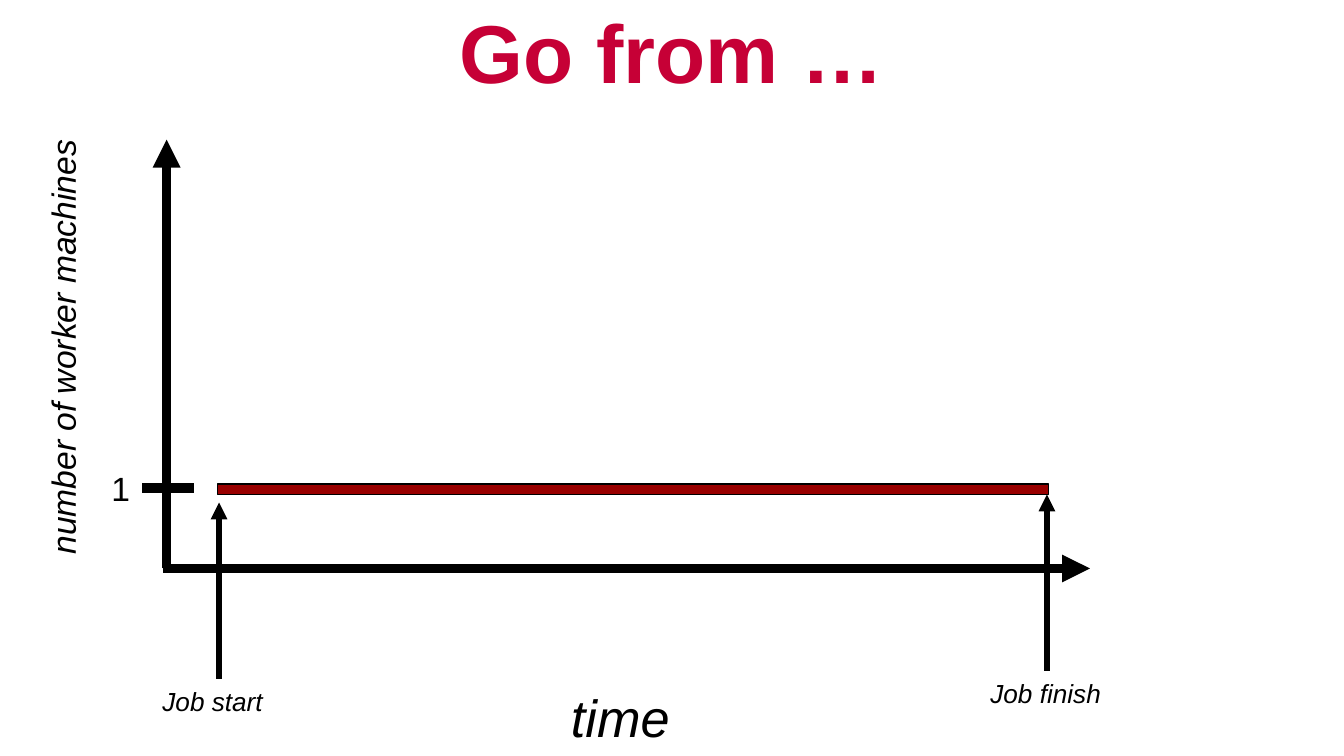
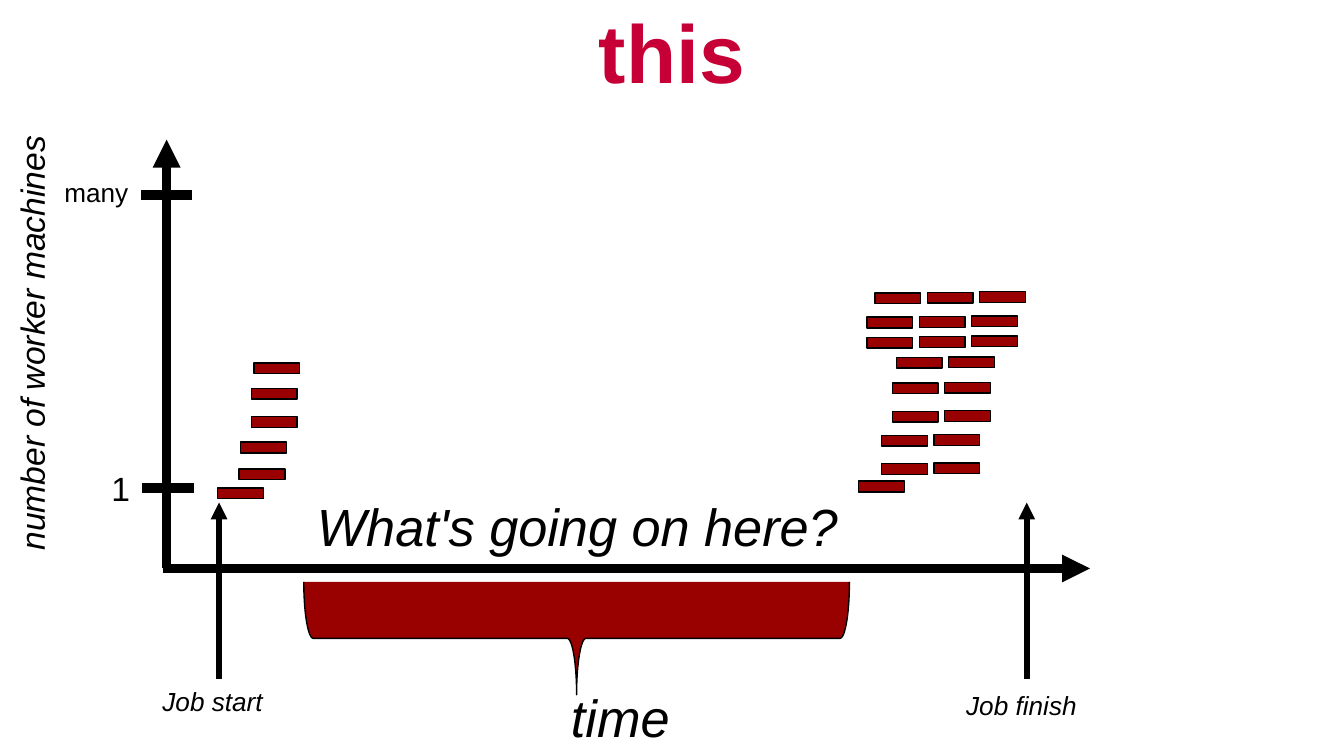
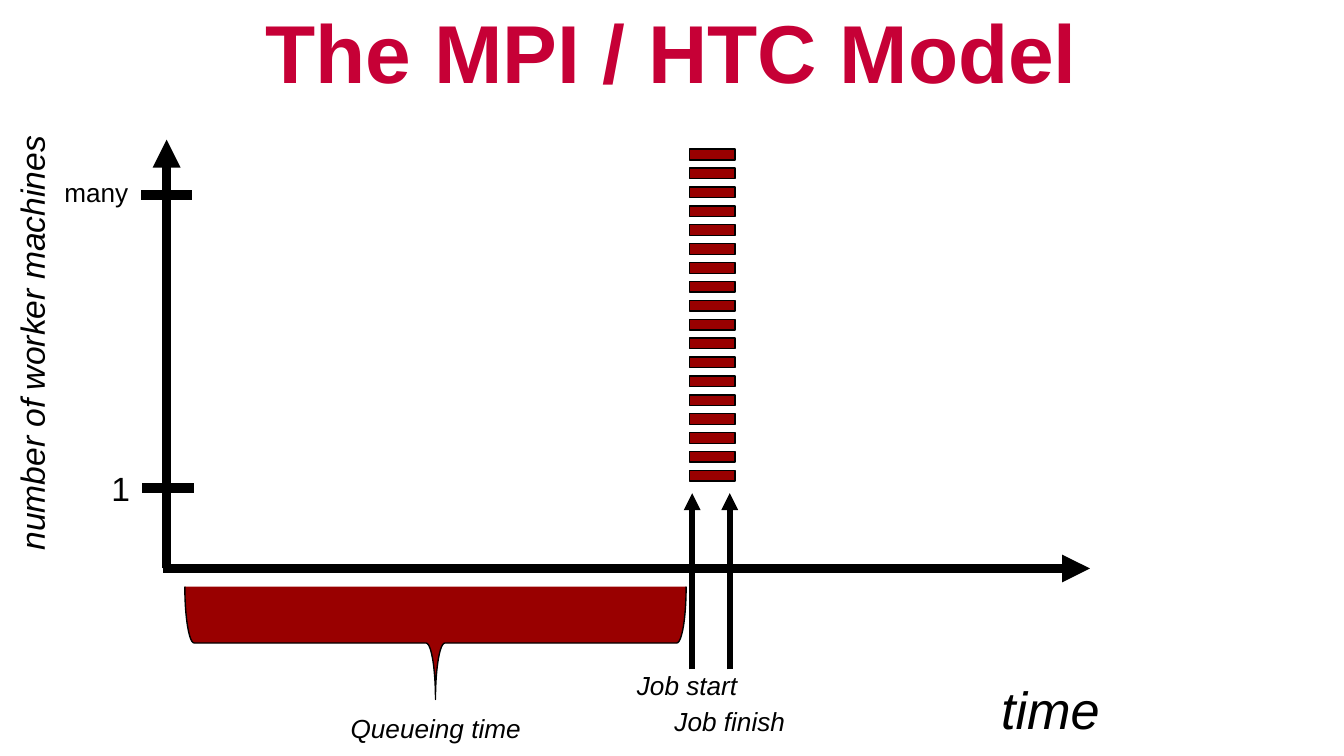
import pptx
import pptx.dml.color
import pptx.enum.shapes
import pptx.enum.text
import pptx.oxml.ns
import pptx.util
from lxml import etree

Inches = pptx.util.Inches
Pt = pptx.util.Pt
MSO_SHAPE = pptx.enum.shapes.MSO_SHAPE
CRIMSON = "C60036"
RED = "990000"
BLACK = "000000"
FONT = "Arial"
BAR_W, BAR_H, BAR_STEP = 0.34, 0.08, 0.39
ARROW_LENGTH = 1.31


def color(hex_value):
    return pptx.dml.color.RGBColor.from_string(hex_value)


def style_font(font, size, hex_value, bold=False, italic=False):
    font.name = FONT
    font.size = Pt(size)
    font.color.rgb = color(hex_value)
    font.bold = bold
    font.italic = italic


start_bars = [(1.62, 3.63), (1.78, 3.49), (1.79, 3.29), (1.87, 3.1), (1.87, 2.89), (1.89, 2.7)]
finish_rows = [
    (6.39, 3.58, 1), (6.56, 3.45, 2), (6.56, 3.24, 2),
    (6.64, 3.06, 2), (6.64, 2.85, 2), (6.67, 2.66, 2),
    (6.45, 2.51, 3), (6.45, 2.36, 3), (6.51, 2.18, 3),
]
scattered_bars = [(left, top, BAR_W) for left, top in start_bars]
for left, top, count in finish_rows:
    scattered_bars += [(left + i * BAR_STEP, top - i * 0.01 / 2, BAR_W) for i in range(count)]
stacked_bars = [(5.13, 3.5 - i * 2.39 / 17, BAR_W) for i in range(18)]

slides = [
    {
        "title": "Go from …",
        "axis_label": (-1.24, 2.32),
        "many": False,
        "bars": [(1.62, 3.6, 6.18)],
        "job_arrows": [(1.63, 5.05), (7.79, 4.99)],
        "braces": [],
        "labels": [
            ("time", 4.15, 5.05, 1.02, 28),
            ("Job start", 1.11, 5.05, 1.02, 14),
            ("Job finish", 7.27, 4.99, 1.02, 14),
        ],
    },
    {
        "title": "this",
        "axis_label": (-1.47, 2.29),
        "many": True,
        "bars": scattered_bars,
        "job_arrows": [(1.63, 5.05), (7.64, 5.05)],
        "braces": [(3.87, 2.72, 4.06)],
        "labels": [
            ("time", 4.15, 5.05, 1.02, 28),
            ("Job start", 1.11, 5.05, 1.02, 14),
            ("Job finish", 7.09, 5.08, 1.02, 14),
            ("What's going on here?", 2.26, 3.63, 4.19, 28),
        ],
    },
    {
        "title": "The MPI / HTC Model",
        "axis_label": (-1.47, 2.29),
        "many": True,
        "bars": stacked_bars,
        "job_arrows": [(5.15, 4.98), (5.43, 4.98)],
        "braces": [(2.82, 2.92, 3.73)],
        "labels": [
            ("time", 7.35, 4.99, 1.02, 28),
            ("Job start", 4.64, 4.93, 1.02, 14),
            ("Job finish", 4.92, 5.2, 1.02, 14),
            ("Queueing time", 2.51, 5.25, 1.72, 14),
        ],
    },
]

prs = pptx.Presentation()
prs.slide_width = Inches(10)
prs.slide_height = prs.slide_width * 9 // 16

for content in slides:
    s = prs.slides.add_slide(prs.slide_layouts[5])

    title = s.shapes.title
    title.left, title.top = Inches(0), Inches(0)
    title.width, title.height = Inches(10), Inches(0.75)
    tf = title.text_frame
    tf.text = content["title"]
    tf.vertical_anchor = pptx.enum.text.MSO_ANCHOR.MIDDLE
    p = tf.paragraphs[0]
    p.alignment = pptx.enum.text.PP_ALIGN.CENTER
    style_font(p.runs[0].font, 44, CRIMSON, bold=True)

    lines = [
        (1.21, 4.23, 8.11, 4.23, 5, True),
        (1.24, 4.23, 1.24, 1.04, 5, True),
        (1.06, 3.63, 1.44, 3.63, 5, False),
    ]
    labels = [
        ("number of worker machines", *content["axis_label"], 3.41, 18, True, 270),
        ("1", 0.73, 3.43, 0.3, 18, False, 0),
    ]
    if content["many"]:
        lines.append((1.05, 1.45, 1.43, 1.45, 5, False))
        labels.append(("many", 0.38, 1.26, 0.99, 14, False, 0))
    lines += [(x, y, x, y - ARROW_LENGTH, 3, True) for x, y in content["job_arrows"]]
    labels += [(*label, True, 0) for label in content["labels"]]

    shapes = [(MSO_SHAPE.RECTANGLE, left, top, width, BAR_H, 0) for left, top, width in content["bars"]]
    shapes += [(MSO_SHAPE.RIGHT_BRACE, left, top, 0.84, height, 90) for left, top, height in content["braces"]]

    for x1, y1, x2, y2, weight, arrow in lines:
        cxn = s.shapes.add_connector(
            pptx.enum.shapes.MSO_CONNECTOR.STRAIGHT, Inches(x1), Inches(y1), Inches(x2), Inches(y2)
        )
        cxn.line.color.rgb = color(BLACK)
        cxn.line.width = Pt(weight)
        if arrow:
            ln = cxn.line._get_or_add_ln()
            etree.SubElement(ln, pptx.oxml.ns.qn("a:tailEnd"), type="triangle")
        etree.SubElement(cxn._element.spPr, pptx.oxml.ns.qn("a:effectLst"))

    for preset, left, top, width, height, rotation in shapes:
        sp = s.shapes.add_shape(preset, Inches(left), Inches(top), Inches(width), Inches(height))
        sp.rotation = rotation
        sp.shadow.inherit = False
        sp.fill.solid()
        sp.fill.fore_color.rgb = color(RED)
        sp.line.color.rgb = color(BLACK)
        sp.line.width = Pt(0.75)

    for text, left, top, width, size, italic, rotation in labels:
        height = {14: 0.34, 18: 0.4, 28: 0.57}[size]
        sp = s.shapes.add_textbox(Inches(left), Inches(top), Inches(width), Inches(height))
        sp.rotation = rotation
        tf = sp.text_frame
        tf.word_wrap = True
        tf.margin_right = 0
        tf.auto_size = pptx.enum.text.MSO_AUTO_SIZE.SHAPE_TO_FIT_TEXT
        tf.text = text
        style_font(tf.paragraphs[0].runs[0].font, size, BLACK, italic=italic)

prs.save("out.pptx")
